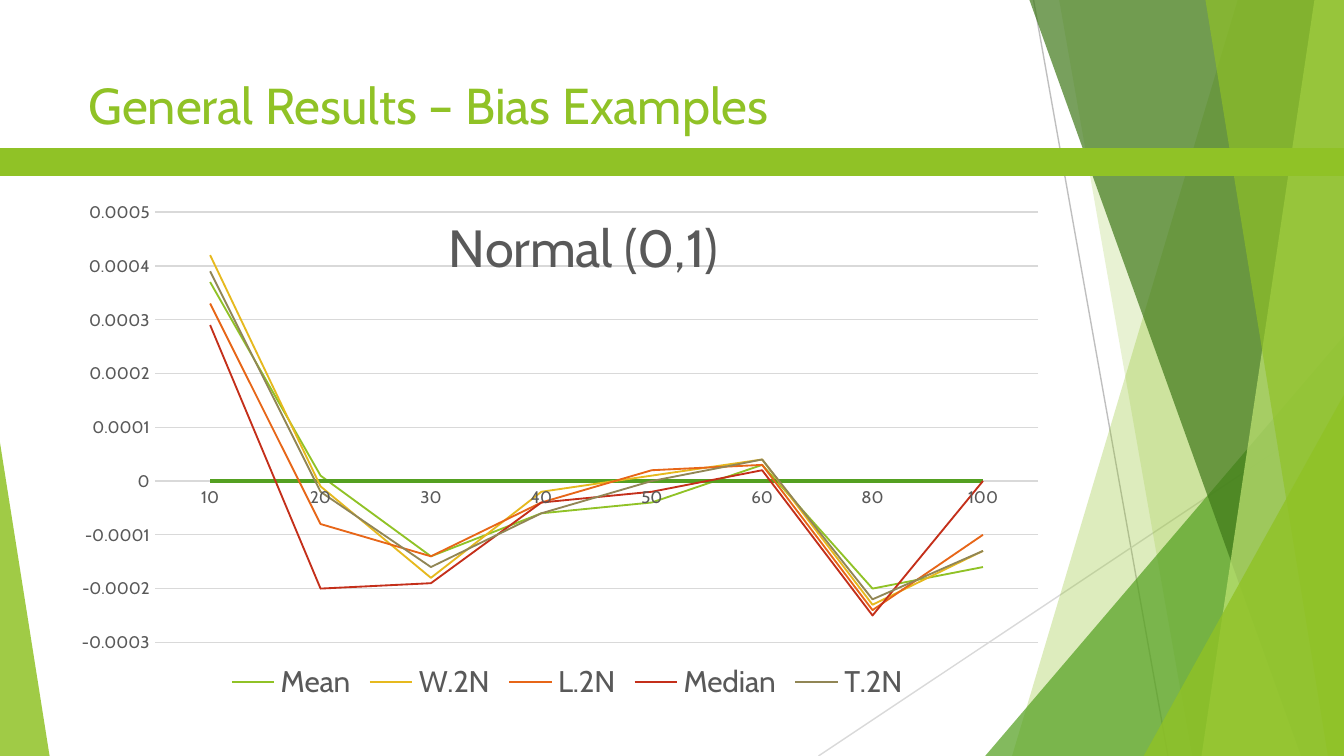
from dataclasses import dataclass

from lxml import etree
from pptx import Presentation
from pptx import util as u
from pptx.chart.data import CategoryChartData
from pptx.dml.color import RGBColor
from pptx.enum import chart as ch, shapes, text
from pptx.oxml.ns import qn

Pt = u.Pt
FONT = "Cabin"
GREEN, DARK_GREEN, GREY, PALE_GREY = "90C226", "54A021", "595959", "D9D9D9"
WIDTH, HEIGHT = 720, 405


@dataclass
class Line:
    x1: float
    y1: float
    x2: float
    y2: float
    color: str
    weight: float


@dataclass
class Band:
    """Area between a slanted left edge and the right edge of the slide."""
    top_x: float
    bottom_x: float
    color: str
    opacity: int


@dataclass
class Triangle:
    """Right triangle standing on the bottom edge; apex 0 is left, 1 is right."""
    x: float
    y: float
    width: float
    apex: int
    color: str
    opacity: int


@dataclass
class Series:
    name: str
    color: str
    values: tuple
    weight: float = 1


FACETS = [
    Line(553.7, 0, 625.7, HEIGHT, "BFBFBF", 0.75),
    Line(WIDTH, 217.4, 438.5, HEIGHT, PALE_GREY, 0.75),
    Band(663.1, 542.2, GREEN, 30),
    Band(567.4, 638.6, GREEN, 20),
    Triangle(527.8, 180, 192.2, 1, DARK_GREEN, 72),
    Band(551.5, 697, "3F7819", 70),
    Band(704.2, 643.7, "C0E474", 70),
    Band(645.8, 711.4, GREEN, 65),
    Triangle(612.7, 211.5, 107.3, 1, GREEN, 80),
    Triangle(0, 237, 26.6, 0, GREEN, 85),
    Line(0, 87, WIDTH, 87, GREEN, 15),
]

SAMPLE_SIZES = ("10", "20", "30", "40", "50", "60", "80", "100")
SERIES = [
    Series("Mean", GREEN, (0.00037, 0.00001, -0.00014, -0.00006, -0.00004, 0.00003, -0.0002, -0.00016)),
    Series("Series 2", DARK_GREEN, (0,) * len(SAMPLE_SIZES), 2.25),
    Series("W.2N", "E6B91E", (0.00042, -0.00001, -0.00018, -0.00002, 0.00001, 0.00004, -0.00023, -0.00013)),
    Series("L.2N", "E76618", (0.00033, -0.00008, -0.00014, -0.00004, 0.00002, 0.00003, -0.00024, -0.0001)),
    Series("Median", "C42F1A", (0.00029, -0.0002, -0.00019, -0.00004, -0.00002, 0.00002, -0.00025, 0)),
    Series("T.2N", "918655", (0.00039, -0.00002, -0.00016, -0.00006, 0, 0.00004, -0.00022, -0.00013)),
]
ZERO_LINE = 1  # index of the series left out of the legend


def rgb(color: str) -> RGBColor:
    return RGBColor.from_string(color)


def set_font(font, size: float, color: str) -> None:
    font.name, font.size, font.bold = FONT, Pt(size), False
    font.color.rgb = rgb(color)


def set_line(line, color: str, weight: float) -> None:
    line.color.rgb = rgb(color)
    line.width = Pt(weight)


def add_line(s, item: Line) -> None:
    line = s.shapes.add_connector(
        shapes.MSO_CONNECTOR.STRAIGHT, Pt(item.x1), Pt(item.y1), Pt(item.x2), Pt(item.y2))
    set_line(line.line, item.color, item.weight)
    etree.SubElement(line._element.spPr, qn("a:effectLst"))


def paint(sp, color: str, opacity: int) -> None:
    sp.shadow.inherit = False
    sp.line.fill.background()
    sp.fill.solid()
    sp.fill.fore_color.rgb = rgb(color)
    fill = sp._element.spPr.find(qn("a:solidFill"))[0]
    etree.SubElement(fill, qn("a:alpha"), val=str(opacity * 1000))


def add_band(s, item: Band) -> None:
    outline = s.shapes.build_freeform(Pt(item.top_x), 0)
    outline.add_line_segments(
        [(Pt(WIDTH), 0), (Pt(WIDTH), Pt(HEIGHT)), (Pt(item.bottom_x), Pt(HEIGHT))])
    paint(outline.convert_to_shape(), item.color, item.opacity)


def add_triangle(s, item: Triangle) -> None:
    sp = s.shapes.add_shape(
        shapes.MSO_SHAPE.ISOSCELES_TRIANGLE,
        Pt(item.x), Pt(item.y), Pt(item.width), Pt(HEIGHT - item.y))
    sp.adjustments[0] = item.apex
    paint(sp, item.color, item.opacity)


def add_title(s) -> None:
    tf = s.shapes.add_textbox(Pt(40.3), Pt(36), Pt(507.6), Pt(77.8)).text_frame
    tf.word_wrap = True
    tf.vertical_anchor = text.MSO_ANCHOR.TOP
    p = tf.paragraphs[0]
    p.text = "General Results – Bias Examples"
    set_font(p.font, 27, GREEN)


def place(parent, index: int, **settings) -> None:
    """Give a chart part a manual layout."""
    for old in parent.findall(qn("c:layout")):
        parent.remove(old)
    layout = etree.Element(qn("c:layout"))
    manual = etree.SubElement(layout, qn("c:manualLayout"))
    for key, val in settings.items():
        etree.SubElement(manual, qn(f"c:{key}"), val=str(val))
    parent.insert(index, layout)


def add_bias_chart(s) -> None:
    data = CategoryChartData()
    data.categories = SAMPLE_SIZES
    for item in SERIES:
        data.add_series(item.name, item.values)
    chart = s.shapes.add_chart(
        ch.XL_CHART_TYPE.LINE, Pt(40.3), Pt(96.5), Pt(527), Pt(281.5), data).chart
    set_font(chart.font, 10, "000000")
    for series, item in zip(chart.plots[0].series, SERIES):
        series.smooth = False
        series.marker.style = ch.XL_MARKER_STYLE.NONE
        set_line(series.format.line, item.color, item.weight)
    chart.plots[0].vary_by_categories = False

    # Title, laid over the plot
    p = chart.chart_title.text_frame.paragraphs[0]
    p.text = "Normal (0,1)"
    set_font(p.font, 28, GREY)
    title = chart.chart_title._element
    title.find(qn("c:overlay")).set("val", "1")
    place(title, 1, xMode="edge", yMode="edge", x=0.37, y=0.04)

    # Axes
    for axis in (chart.category_axis, chart.value_axis):
        axis.major_tick_mark = axis.minor_tick_mark = ch.XL_TICK_MARK.NONE
        set_font(axis.tick_labels.font, 9, GREY)
    set_line(chart.category_axis.format.line, PALE_GREY, 0.75)
    values = chart.value_axis
    values.format.line.fill.background()
    set_line(values.major_gridlines.format.line, PALE_GREY, 0.75)
    place(chart._chartSpace.chart.plotArea, 0, layoutTarget="inner",
          xMode="edge", yMode="edge", x=0.081, y=0.061, w=0.898, h=0.819)

    # Legend without the zero line
    chart.has_legend = True
    legend = chart.legend
    legend.position = ch.XL_LEGEND_POSITION.BOTTOM
    legend.include_in_layout = False
    set_font(legend.font, 16, GREY)
    entry = etree.Element(qn("c:legendEntry"))
    etree.SubElement(entry, qn("c:idx"), val=str(ZERO_LINE))
    etree.SubElement(entry, qn("c:delete"), val="1")
    legend._element.find(qn("c:legendPos")).addnext(entry)


def main() -> None:
    prs = Presentation()
    prs.slide_width, prs.slide_height = Pt(WIDTH), Pt(HEIGHT)
    s = prs.slides.add_slide(prs.slide_layouts[6])
    draw = {Line: add_line, Band: add_band, Triangle: add_triangle}
    for item in FACETS:
        draw[type(item)](s, item)
    add_title(s)
    add_bias_chart(s)
    prs.save("out.pptx")


if __name__ == "__main__":
    main()
